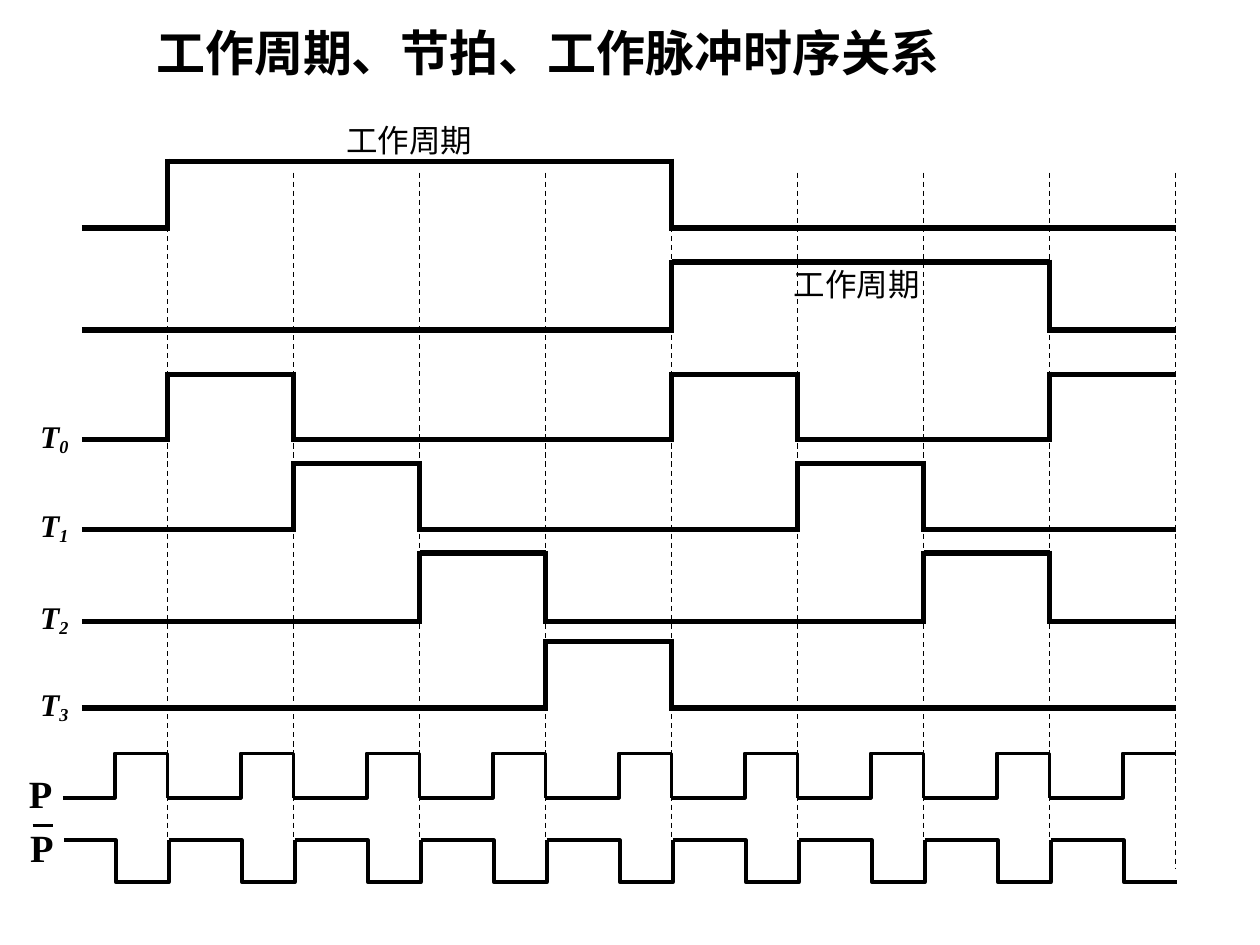
from lxml.etree import SubElement
from pptx import Presentation
from pptx.dml.color import RGBColor
from pptx.enum.dml import MSO_LINE
from pptx.enum.shapes import MSO_CONNECTOR
from pptx.enum.text import MSO_ANCHOR, PP_ALIGN
from pptx.oxml.ns import qn
from pptx.util import Inches, Pt

BLACK = RGBColor(0x00, 0x00, 0x00)
LATIN_FONT = "Times New Roman"
CHINESE_FONT = "Noto Sans CJK SC"

# Time grid: beat 0 starts at FIRST_BEAT, one column per beat
FIRST_BEAT = 1.33
BEAT_WIDTH = 1.0
BEAT_COUNT = 8
TRACE_START = 0.65
CLOCK_PULSE = 0.42
TRACE_OVERLAP = 0.02  # half a trace width, closes the corners

# Rows: name, high level, low level, pulses as (rising beat, falling beat)
CYCLE_ROWS = [
    (1.28, 1.81, [(0, 4)], (2.65, 0.91)),
    (2.08, 2.62, [(4, 7)], (6.20, 2.05)),
]
BEAT_ROWS = [
    ("0", 2.97, 3.49, [(0, 1), (4, 5), (7, 8)]),
    ("1", 3.68, 4.20, [(1, 2), (5, 6)]),
    ("2", 4.39, 4.93, [(2, 3), (6, 7)]),
    ("3", 5.09, 5.62, [(3, 4)]),
]


def beat_x(beat):
    return FIRST_BEAT + beat * BEAT_WIDTH


def add_line(slide, x1, y1, x2, y2, width, dashed=False):
    connector = slide.shapes.add_connector(
        MSO_CONNECTOR.STRAIGHT, Inches(x1), Inches(y1), Inches(x2), Inches(y2))
    connector.line.color.rgb = BLACK
    connector.line.width = Pt(width)
    if dashed:
        connector.line.dash_style = MSO_LINE.DASH
    SubElement(connector._element.spPr, qn("a:effectLst"))


def add_run(paragraph, text, size, font=LATIN_FONT, bold=False, italic=False, baseline=None):
    run = paragraph.add_run()
    run.text = text
    run.font.size = Pt(size)
    run.font.name = font
    run.font.bold = bold
    run.font.italic = italic
    run.font.color.rgb = BLACK
    properties = run._r.get_or_add_rPr()
    SubElement(properties, qn("a:ea")).set("typeface", CHINESE_FONT)
    if baseline is not None:
        properties.set("baseline", str(baseline * 1000))


def add_label(slide, left, top, width, height, anchor=MSO_ANCHOR.TOP):
    box = slide.shapes.add_textbox(Inches(left), Inches(top), Inches(width), Inches(height))
    frame = box.text_frame
    frame.word_wrap = False
    frame.vertical_anchor = anchor
    if anchor == MSO_ANCHOR.TOP:
        frame.margin_top = Inches(0.08)
    return frame.paragraphs[0]


def add_title(slide, left, top, width, height):
    title = slide.shapes.title
    title.left, title.top = Inches(left), Inches(top)
    title.width, title.height = Inches(width), Inches(height)
    frame = title.text_frame
    frame.word_wrap = False
    frame.vertical_anchor = MSO_ANCHOR.MIDDLE
    paragraph = frame.paragraphs[0]
    paragraph.alignment = PP_ALIGN.LEFT
    add_run(paragraph, "工作周期、节拍、工作脉冲时序关系", 28, CHINESE_FONT, bold=True)


def add_beat_guides(slide, top, bottom):
    for beat in range(BEAT_COUNT + 1):
        add_line(slide, beat_x(beat), top, beat_x(beat), bottom, 0.75, dashed=True)


def add_trace(slide, high, low, pulses):
    """Draw a signal as level lines joined by vertical edges."""
    end = beat_x(BEAT_COUNT)
    level_start = TRACE_START
    for rising, falling in pulses:
        rise, fall = beat_x(rising), beat_x(falling)
        add_line(slide, level_start, low, rise, low, 3)
        add_line(slide, rise, high - TRACE_OVERLAP, rise, low + TRACE_OVERLAP, 3)
        add_line(slide, rise, high, fall, high, 3)
        if fall < end:
            add_line(slide, fall, high - TRACE_OVERLAP, fall, low + TRACE_OVERLAP, 3)
        level_start = fall
    if level_start < end:
        add_line(slide, level_start, low, end, low, 3)


def add_cycle_row(slide, high, low, pulses, label_place):
    add_trace(slide, high, low, pulses)
    paragraph = add_label(slide, *label_place, 1.21, 0.4, MSO_ANCHOR.MIDDLE)
    add_run(paragraph, "工作周期", 18)


def add_beat_row(slide, number, high, low, pulses):
    add_trace(slide, high, low, pulses)
    paragraph = add_label(slide, 0.22, low - 0.26, 0.44, 0.4)
    add_run(paragraph, "T", 18, bold=True, italic=True)
    add_run(paragraph, number, 18, bold=True, italic=True, baseline=-15)


def add_clock_row(slide, start, idle, active, shift, label_left, label_top):
    """Draw one outline per period; each pulse ends on a beat."""
    for beat in range(BEAT_COUNT + 1):
        fall = beat_x(beat) + shift
        rise = fall - CLOCK_PULSE
        period_start = start if beat == 0 else fall - BEAT_WIDTH
        points = [(rise, idle), (rise, active), (fall, active)]
        if beat < BEAT_COUNT:
            points.append((fall, idle))
        builder = slide.shapes.build_freeform(Inches(period_start), Inches(idle))
        builder.add_line_segments([(Inches(x), Inches(y)) for x, y in points], close=False)
        pulse = builder.convert_to_shape()
        pulse.fill.background()
        pulse.line.color.rgb = BLACK
        pulse.line.width = Pt(2.25)
        pulse.shadow.inherit = False
    paragraph = add_label(slide, label_left, label_top, 0.39, 0.35)
    add_run(paragraph, "P", 22, bold=True)


def main():
    presentation = Presentation()
    presentation.slide_width, presentation.slide_height = Inches(10), Inches(7.5)
    slide = presentation.slides.add_slide(presentation.slide_layouts[5])

    add_title(slide, 1.14, 0.13, 6.51, 0.57)
    add_beat_guides(slide, 1.37, 6.9)
    for row in CYCLE_ROWS:
        add_cycle_row(slide, *row)
    for row in BEAT_ROWS:
        add_beat_row(slide, *row)

    # Clock P and its inverse, marked by an overbar
    add_clock_row(slide, 0.5, 6.33, 5.98, 0, 0.13, 6.03)
    add_clock_row(slide, 0.51, 6.67, 7.0, 0.01, 0.14, 6.46)
    add_line(slide, 0.26, 6.55, 0.42, 6.55, 1.5)

    presentation.save("out.pptx")


if __name__ == "__main__":
    main()
